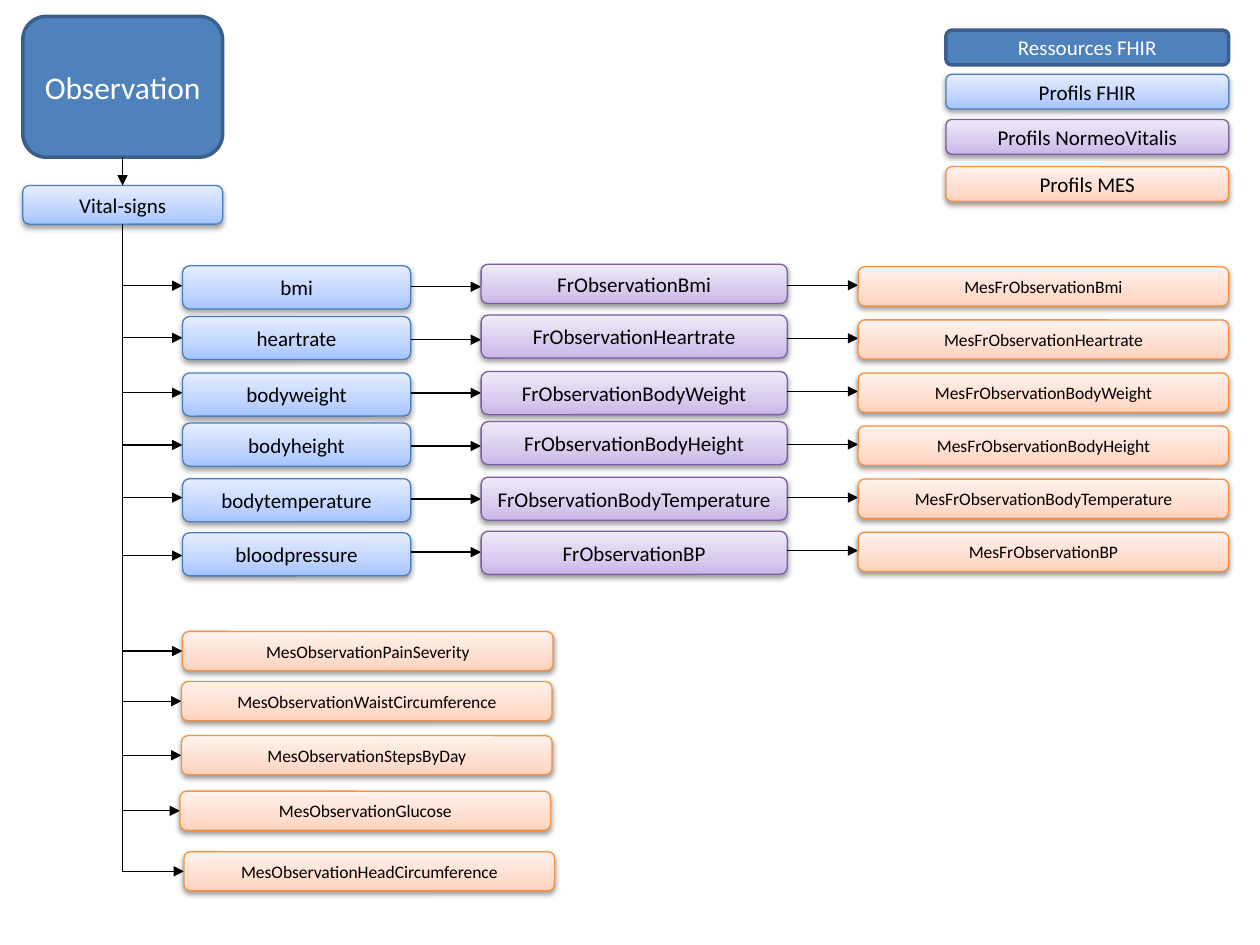
"""Build the diagram of Observation resources and the profiles derived from them."""
import copy

import pptx
import pptx.dml.color
import pptx.enum.shapes
import pptx.enum.text
import pptx.oxml
import pptx.oxml.ns
import pptx.util
from pptx.util import Cm

COLORS = {
    "resource": "4F81BD", "resource_line": "3A5F8C",
    "fhir": ("A4C4FF", "BFD4FF", "E6EEFF"), "fhir_line": "4B7EBC",
    "national": ("C9B5E8", "D8CBEE", "F0EAF9"), "national_line": "7D60A0",
    "mes": ("FFD2BD", "FFDED0", "FFF2ED"), "mes_line": "F69240",
    "black": "000000", "white": "FFFFFF",
}
NS = pptx.oxml.ns.nsdecls("a")
SHADOW = (f'<a:effectLst {NS}><a:outerShdw blurRad="40000" dist="20000" dir="5400000" '
          f'rotWithShape="0"><a:srgbClr val="{COLORS["black"]}"><a:alpha val="38000"/>'
          '</a:srgbClr></a:outerShdw></a:effectLst>')
rgb = pptx.dml.color.RGBColor.from_string
qn = pptx.oxml.ns.qn
ROUNDED = pptx.enum.shapes.MSO_SHAPE.ROUNDED_RECTANGLE
STRAIGHT = pptx.enum.shapes.MSO_CONNECTOR.STRAIGHT
ELBOW = pptx.enum.shapes.MSO_CONNECTOR.ELBOW

deck = pptx.Presentation()
deck.slide_width, deck.slide_height = Cm(25.4), Cm(19.05)
slide = deck.slides.add_slide(deck.slide_layouts[6])


def add_box(label, level, left, top, width, height, size=12):
    box = slide.shapes.add_shape(ROUNDED, Cm(left), Cm(top), Cm(width), Cm(height))
    box.shadow.inherit = False
    box.line.color.rgb = rgb(COLORS[level + "_line"])
    box.line.width = pptx.util.Pt(2 if level == "resource" else 0.75)
    if level == "resource":
        box.fill.solid()
        box.fill.fore_color.rgb = rgb(COLORS[level])
    else:
        box.fill.gradient()
        box.fill.gradient_angle = 90
        stop_list = box._element.spPr.find(".//" + qn("a:gsLst"))
        stop_list.insert(1, copy.deepcopy(stop_list[0]))
        for stop, color, position in zip(box.fill.gradient_stops, COLORS[level], (0, 0.35, 1)):
            stop.color.rgb = rgb(color)
            stop.position = position
        effects = box._element.spPr.find(qn("a:effectLst"))
        effects.getparent().replace(effects, pptx.oxml.parse_xml(SHADOW))
    frame = box.text_frame
    frame.word_wrap = True
    frame.vertical_anchor = pptx.enum.text.MSO_ANCHOR.MIDDLE
    frame.paragraphs[0].alignment = pptx.enum.text.PP_ALIGN.CENTER
    run = frame.paragraphs[0].add_run()
    run.text = label
    run.font.name = "Calibri"
    run.font.size = pptx.util.Pt(size)
    run.font.color.rgb = rgb(COLORS["white" if level == "resource" else "black"])


def add_link(kind, x1, y1, x2, y2, arrow=True):
    link = slide.shapes.add_connector(kind, Cm(x1), Cm(y1), Cm(x2), Cm(y2))
    link.line.color.rgb = rgb(COLORS["black"])
    link.line.width = pptx.util.Pt(0.75)
    properties = link._element.spPr
    if kind == ELBOW:
        guides = properties.find(".//" + qn("a:avLst"))
        guides.append(pptx.oxml.parse_xml(f'<a:gd {NS} name="adj1" fmla="val 0"/>'))
    if arrow:
        properties.find(qn("a:ln")).append(pptx.oxml.parse_xml(f'<a:tailEnd {NS} type="triangle"/>'))
    properties.append(pptx.oxml.parse_xml(f"<a:effectLst {NS}/>"))


add_box("Observation", "resource", 0.46, 0.33, 4.03, 2.84, 18)
add_box("Vital-signs", "fhir", 0.46, 3.74, 4.03, 0.78)

legend = [
    ("Ressources FHIR", "resource", 0.61),
    ("Profils FHIR", "fhir", 1.5),
    ("Profils NormeoVitalis", "national", 2.41),
    ("Profils MES", "mes", 3.36),
]
for label, level, top in legend:
    add_box(label, level, 19.07, top, 5.7, 0.7)

trunk_x, trunk_top = 2.47, 4.52
fhir_x, fhir_width = 3.68, 4.6
national_x, national_width = 9.7, 6.17
mes_x, mes_width, mes_height = 17.3, 7.47, 0.79
add_link(STRAIGHT, trunk_x, 3.17, trunk_x, 3.74)
add_link(STRAIGHT, trunk_x, trunk_top, trunk_x, 11.2, arrow=False)

vital_signs = [
    ("bmi", "Bmi", 5.36, 5.76),
    ("heartrate", "Heartrate", 6.38, 6.81),
    ("bodyweight", "BodyWeight", 7.52, 7.92),
    ("bodyheight", "BodyHeight", 8.53, 8.97),
    ("bodytemperature", "BodyTemperature", 9.65, 10.03),
    ("bloodpressure", "BP", 10.74, 11.2),
]
for row, (profile, suffix, top, branch_y) in enumerate(vital_signs):
    mes_top = 5.38 + 1.07 * row
    national_height = 0.79 if row == 0 else 0.87
    add_link(ELBOW, trunk_x, trunk_top, fhir_x, branch_y)
    add_box(profile, "fhir", fhir_x, top, fhir_width, 0.87)
    add_link(STRAIGHT, fhir_x + fhir_width, mes_top + 0.4, national_x, mes_top + 0.4)
    add_box("FrObservation" + suffix, "national", national_x, top - 0.03, national_width, national_height)
    add_link(STRAIGHT, national_x + national_width, mes_top + 0.37, mes_x, mes_top + 0.37)
    add_box("MesFrObservation" + suffix, "mes", mes_x, mes_top, mes_width, mes_height, 10)

mes_observations = [
    ("PainSeverity", 3.68, 12.73),
    ("WaistCircumference", 3.66, 13.74),
    ("StepsByDay", 3.66, 14.83),
    ("Glucose", 3.63, 15.95),
    ("HeadCircumference", 3.71, 17.17),
]
for measure, left, top in mes_observations:
    add_link(ELBOW, trunk_x, trunk_top, left, top + mes_height / 2)
    add_box("MesObservation" + measure, "mes", left, top, mes_width, mes_height, 10)

deck.save("out.pptx")
